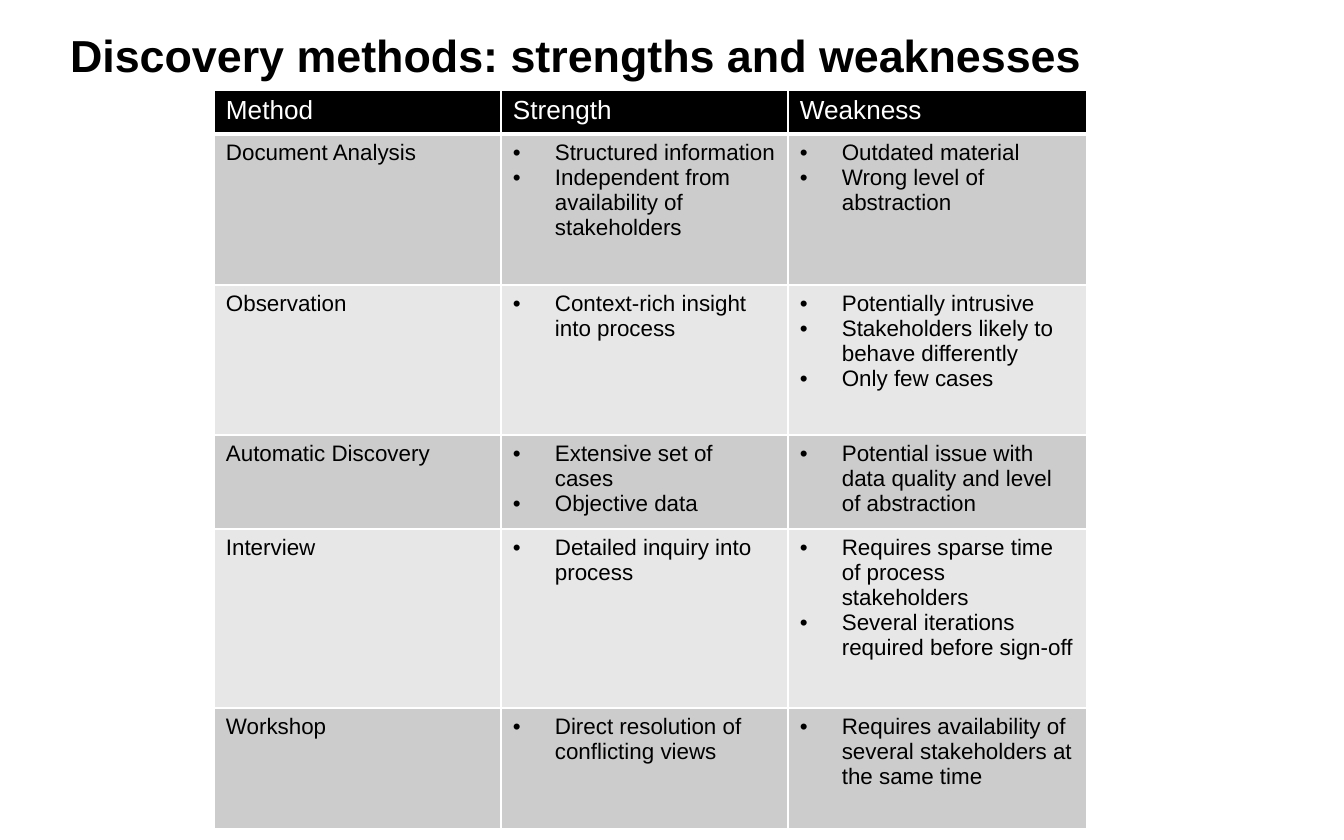
from dataclasses import dataclass

from lxml.etree import SubElement
from pptx import Presentation
from pptx.dml.color import RGBColor as RGB
from pptx.enum.text import MSO_ANCHOR as Anchor
from pptx.oxml import parse_xml
from pptx.oxml.ns import nsdecls, qn
from pptx.util import Pt

EMU_PER_PX = 914400 / 134.4


@dataclass(frozen=True)
class Theme:
    font: str = "Arial"
    black: str = "000000"
    white: str = "FFFFFF"
    bands: tuple = ("CCCCCC", "E7E7E7")
    title_size: int = 24
    header_size: int = 14
    body_size: int = 12
    rule: int = 1
    header_rule: int = 3


THEME = Theme()

TITLE = "Discovery methods: strengths and weaknesses"
HEADINGS = ("Method", "Strength", "Weakness")
METHODS = [
    ("Document Analysis",
     ["Structured information",
      "Independent from availability of stakeholders"],
     ["Outdated material", "Wrong level of abstraction"]),
    ("Observation",
     ["Context-rich insight into process"],
     ["Potentially intrusive",
      "Stakeholders likely to behave differently",
      "Only few cases"]),
    ("Automatic Discovery",
     ["Extensive set of cases", "Objective data"],
     ["Potential issue with data quality and level of abstraction"]),
    ("Interview",
     ["Detailed inquiry into process"],
     ["Requires sparse time of process stakeholders",
      "Several iterations required before sign-off"]),
    ("Workshop",
     ["Direct resolution of conflicting views"],
     ["Requires availability of several stakeholders at the same time"]),
]
COLUMN_WIDTHS = (287, 287, 299)
ROW_HEIGHTS = (44, 151, 150, 94, 179, 121)
BULLET_INDENT = 42
CELL_MARGIN_X, CELL_MARGIN_Y = 12, 6


def px(length):
    return round(length * EMU_PER_PX)


def add_run(paragraph, text, size, color, bold=False):
    run = paragraph.add_run()
    run.text = text
    run.font.name = THEME.font
    run.font.size = Pt(size)
    run.font.bold = bold
    run.font.color.rgb = RGB.from_string(color)


def add_bullet(paragraph):
    properties = paragraph._p.get_or_add_pPr()
    properties.set("marL", str(px(BULLET_INDENT)))
    properties.set("indent", str(-px(BULLET_INDENT)))
    SubElement(properties, qn("a:buFont"), typeface=THEME.font)
    SubElement(properties, qn("a:buChar"), char="•")


def set_borders(cell, bottom):
    """Rule all four sides; border elements must precede the cell fill."""
    widths = {"lnL": THEME.rule, "lnR": THEME.rule,
              "lnT": THEME.rule, "lnB": bottom}
    properties = cell._tc.get_or_add_tcPr()
    for index, (side, width) in enumerate(widths.items()):
        properties.insert(index, parse_xml(
            f'<a:{side} {nsdecls("a")} w="{Pt(width)}"><a:solidFill>'
            f'<a:srgbClr val="{THEME.white}"/></a:solidFill></a:{side}>'))


def fill_cell(cell, lines, size, color, fill, bottom, bulleted):
    cell.margin_left = cell.margin_right = px(CELL_MARGIN_X)
    cell.margin_top = cell.margin_bottom = px(CELL_MARGIN_Y)
    cell.vertical_anchor = Anchor.TOP
    cell.fill.solid()
    cell.fill.fore_color.rgb = RGB.from_string(fill)
    set_borders(cell, bottom)
    frame = cell.text_frame
    for index, line in enumerate(lines):
        paragraph = frame.add_paragraph() if index else frame.paragraphs[0]
        if bulleted:
            add_bullet(paragraph)
        add_run(paragraph, line, size, color)


def add_title(slide, left, top, width, height):
    box = slide.shapes.add_textbox(px(left), px(top), px(width), px(height))
    frame = box.text_frame
    frame.word_wrap = True
    frame.vertical_anchor = Anchor.MIDDLE
    frame.margin_left = frame.margin_right = 0
    frame.margin_top = frame.margin_bottom = 0
    add_run(frame.paragraphs[0], TITLE, THEME.title_size, THEME.black, bold=True)


def add_methods_table(slide, left, top):
    table = slide.shapes.add_table(
        len(ROW_HEIGHTS), len(COLUMN_WIDTHS), px(left), px(top),
        px(sum(COLUMN_WIDTHS)), px(sum(ROW_HEIGHTS))).table
    table.first_row = table.horz_banding = False
    for column, width in zip(table.columns, COLUMN_WIDTHS):
        column.width = px(width)
    for row, height in zip(table.rows, ROW_HEIGHTS):
        row.height = px(height)

    for column, heading in enumerate(HEADINGS):
        fill_cell(table.cell(0, column), [heading], THEME.header_size,
                  THEME.white, THEME.black, THEME.header_rule, bulleted=False)
    for row, (method, strengths, weaknesses) in enumerate(METHODS, start=1):
        band = THEME.bands[(row - 1) % len(THEME.bands)]
        for column, lines in enumerate(([method], strengths, weaknesses)):
            fill_cell(table.cell(row, column), lines, THEME.body_size,
                      THEME.black, band, THEME.rule, bulleted=column > 0)


def main():
    deck = Presentation()
    deck.slide_width, deck.slide_height = px(1344), px(840)
    slide = deck.slides.add_slide(deck.slide_layouts[6])
    add_title(slide, 70, -12, 1187, 133)
    add_methods_table(slide, 214, 90)
    deck.save("out.pptx")


if __name__ == "__main__":
    main()
